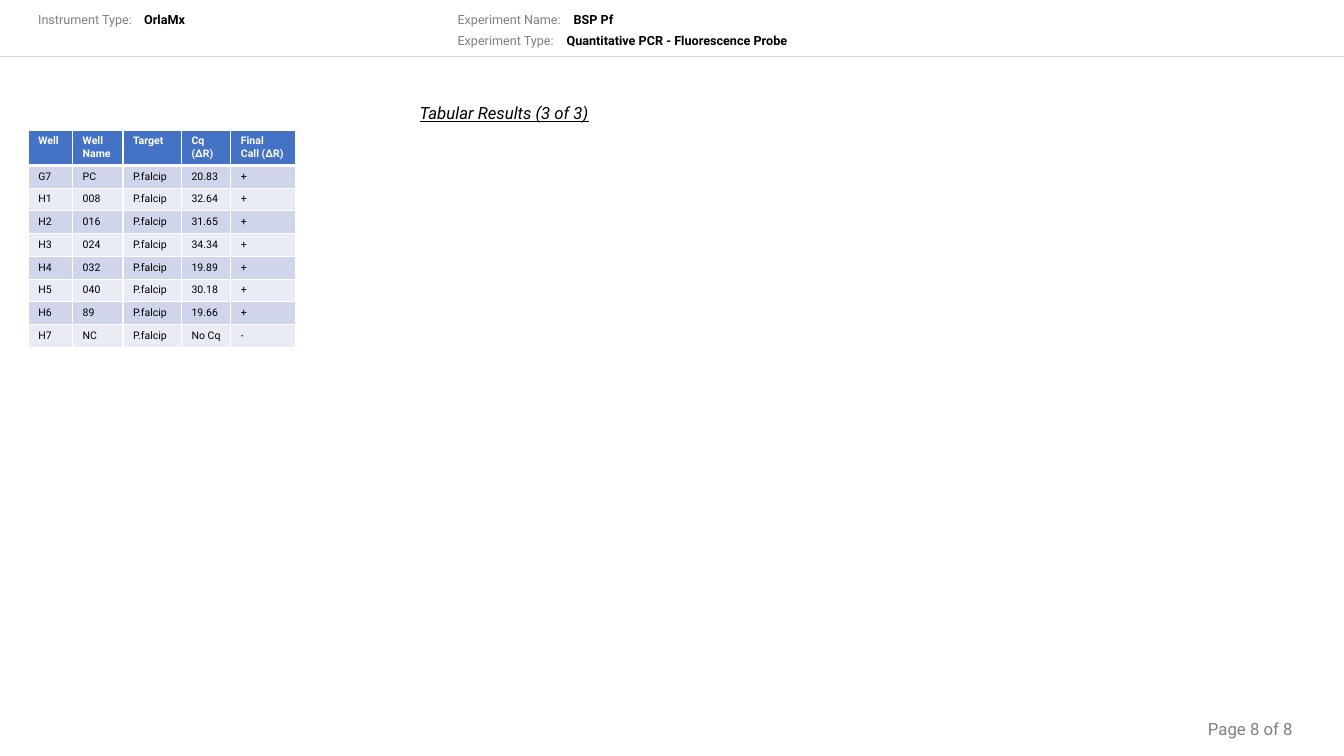
from lxml.etree import SubElement
from pptx import Presentation
from pptx.dml.color import RGBColor
from pptx.enum.shapes import MSO_CONNECTOR
from pptx.enum.text import MSO_AUTO_SIZE, PP_ALIGN
from pptx.oxml.ns import qn
from pptx.util import Inches, Pt

THEME = {
    "font": "Roboto",
    "label": {"size": 9, "color": "808080"},
    "value": {"size": 9, "color": "000000", "bold": True},
    "title": {"size": 12, "color": "000000", "italic": True, "underline": True},
    "page": {"size": 12, "color": "808080"},
    "head": {"size": 7.5, "color": "FFFFFF", "bold": True},
    "body": {"size": 7.5, "color": "000000", "bold": False},
    "head_fill": "4472C4",
    "bands": ["CFD5EA", "E9EBF5"],
    "border": "FFFFFF",
    "rule": "CBD6DC",
}
W, H = 13.33, 7.5
LEFT, CONTENT_W = 0.28, 9.44
MIDDLE = 4.44
TOP, LINE_STEP = 0.07, 0.21

FIELDS = [
    ("Instrument Type:", " OrlaMx", LEFT, 1.02, 0),
    ("Experiment Name:", " BSP Pf", MIDDLE, 1.12, 0),
    ("Experiment Type:", " Quantitative PCR - Fluorescence Probe", MIDDLE, 1.05, 1),
]
TITLE = "Tabular Results (3 of 3)"
PAGE = "Page 8 of 8"
HEADER = ["Well", "Well\nName", "Target", "Cq\n(∆R)", "Final\nCall (∆R)"]
TARGET = "P.falcip"
RESULTS = [
    ("G7", "PC", TARGET, "20.83", "+"),
    ("H1", "008", TARGET, "32.64", "+"),
    ("H2", "016", TARGET, "31.65", "+"),
    ("H3", "024", TARGET, "34.34", "+"),
    ("H4", "032", TARGET, "19.89", "+"),
    ("H5", "040", TARGET, "30.18", "+"),
    ("H6", "89", TARGET, "19.66", "+"),
    ("H7", "NC", TARGET, "No Cq", "-"),
]
COLS = [0.44, 0.5, 0.58, 0.49, 0.64]
ROW_H = 0.19


def rgb(value):
    return RGBColor.from_string(value)


def style(tf, look):
    for p in tf.paragraphs:
        for r in p.runs:
            r.font.name = THEME["font"]
            for key, value in look.items():
                if key == "color":
                    r.font.color.rgb = rgb(value)
                else:
                    setattr(r.font, key, Pt(value) if key == "size" else value)


def add_text(s, text, box, look, align=PP_ALIGN.LEFT):
    tf = s.shapes.add_textbox(*map(Inches, box)).text_frame
    tf.word_wrap = True
    tf.auto_size = MSO_AUTO_SIZE.SHAPE_TO_FIT_TEXT
    tf.text = text
    tf.paragraphs[0].alignment = align
    style(tf, THEME[look])


def add_borders(cell, widths):
    tc_pr = cell._tc.get_or_add_tcPr()
    for side, width in widths.items():
        ln = SubElement(tc_pr, qn(f"a:ln{side}"), w=str(Pt(width)))
        fill = SubElement(ln, qn("a:solidFill"))
        SubElement(fill, qn("a:srgbClr"), val=THEME["border"])


def add_header(s):
    for label, value, x, offset, line in FIELDS:
        y = TOP + line * LINE_STEP
        add_text(s, label, (x, y, W, 0.25), "label")
        add_text(s, value, (x + offset, y, W, 0.25), "value")
    y = Inches(0.56)
    rule = s.shapes.add_connector(MSO_CONNECTOR.STRAIGHT, 0, y, Inches(W), y)
    rule.line.color.rgb = rgb(THEME["rule"])
    rule.line.width = Pt(0.5)
    SubElement(rule._element.spPr, qn("a:effectLst"))


def add_results(s):
    rows = [HEADER, *RESULTS]
    box = (LEFT, 1.29, sum(COLS), ROW_H * len(rows))
    table = s.shapes.add_table(len(rows), len(COLS), *map(Inches, box)).table
    for col, width in zip(table.columns, COLS):
        col.width = Inches(width)
    for i, row in enumerate(rows):
        table.rows[i].height = Inches(ROW_H)
        fill = THEME["bands"][(i - 1) % 2] if i else THEME["head_fill"]
        for j, text in enumerate(row):
            cell = table.cell(i, j)
            cell.text = text
            style(cell.text_frame, THEME["body" if i else "head"])
            add_borders(cell, {"L": 1, "R": 1, "T": 3 if i == 1 else 1, "B": 1 if i else 3})
            cell.fill.solid()
            cell.fill.fore_color.rgb = rgb(fill)


def main():
    prs = Presentation()
    prs.slide_width, prs.slide_height = Inches(W), Inches(H)
    s = prs.slides.add_slide(prs.slide_layouts[6])
    add_header(s)
    add_text(s, PAGE, (11.25, 7.08, 1.67, 0.3), "page", PP_ALIGN.RIGHT)
    add_text(s, TITLE, (LEFT, 0.97, CONTENT_W, 0.3), "title", PP_ALIGN.CENTER)
    add_results(s)
    prs.save("out.pptx")


if __name__ == "__main__":
    main()
